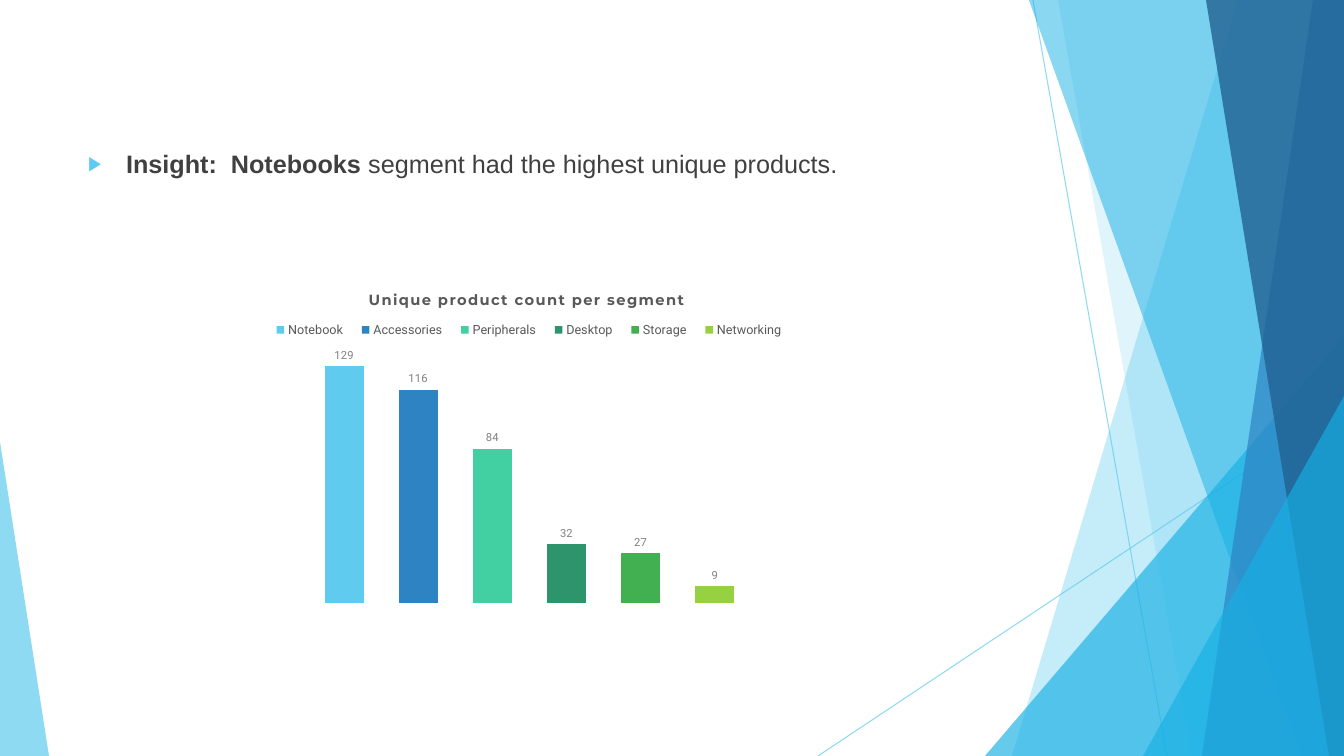
import pptx
import pptx.chart.data
import pptx.dml.color
import pptx.enum.chart
import pptx.enum.shapes
import pptx.oxml
import pptx.oxml.ns
import pptx.util
from lxml import etree

RGBColor = pptx.dml.color.RGBColor
Pt = pptx.util.Pt
qn = pptx.oxml.ns.qn

WIDTH, HEIGHT = 1344, 756
PX_PER_INCH = 100.8

SKY = RGBColor(0x5F, 0xCB, 0xEF)
CYAN = RGBColor(0x17, 0xB0, 0xE4)
BLUE = RGBColor(0x2E, 0x83, 0xC3)
NAVY = RGBColor(0x22, 0x62, 0x92)
BODY_TEXT = RGBColor(0x40, 0x40, 0x40)
CHART_TEXT = RGBColor(0x59, 0x59, 0x59)
LABEL_TEXT = RGBColor(0x80, 0x80, 0x80)

SEGMENTS = [
    ("Notebook", 129, SKY),
    ("Accessories", 116, BLUE),
    ("Peripherals", 84, RGBColor(0x42, 0xD0, 0xA2)),
    ("Desktop", 32, RGBColor(0x2E, 0x94, 0x6B)),
    ("Storage", 27, RGBColor(0x42, 0xB0, 0x51)),
    ("Networking", 9, RGBColor(0x96, 0xD1, 0x41)),
]
CHART_BOX = (225, 268, 609, 342)


def px(length):
    return pptx.util.Emu(round(length * 914400 / PX_PER_INCH))


def set_opacity(shape, percent):
    for color in shape._element.spPr.iter(qn("a:srgbClr")):
        etree.SubElement(color, qn("a:alpha")).set("val", str(percent * 1000))


def paint(shape, color, opacity):
    shape.shadow.inherit = False
    shape.fill.solid()
    shape.fill.fore_color.rgb = color
    shape.line.fill.background()
    set_opacity(shape, opacity)


def add_thin_line(slide, *ends):
    line = slide.shapes.add_connector(
        pptx.enum.shapes.MSO_CONNECTOR.STRAIGHT, *map(px, ends))
    line.line.color.rgb = SKY
    line.line.width = Pt(0.75)
    set_opacity(line, 70)
    etree.SubElement(line._element.spPr, qn("a:effectLst"))


def add_band(slide, top_x, bottom_x, color, opacity):
    """Fill from a slanted left edge to the right side of the slide."""
    builder = slide.shapes.build_freeform(px(top_x), 0)
    corners = [(WIDTH, 0), (WIDTH, HEIGHT), (bottom_x, HEIGHT)]
    builder.add_line_segments([(px(x), px(y)) for x, y in corners], close=True)
    paint(builder.convert_to_shape(), color, opacity)


def add_corner_triangle(slide, left, top, width, apex, color, opacity):
    """Stand a triangle on the bottom edge; apex runs from 0 (left) to 1."""
    triangle = slide.shapes.add_shape(
        pptx.enum.shapes.MSO_SHAPE.ISOSCELES_TRIANGLE,
        px(left), px(top), px(width), px(HEIGHT - top))
    triangle.adjustments[0] = apex
    paint(triangle, color, opacity)


def add_facets(slide):
    add_thin_line(slide, 1033, 0, 1167, HEIGHT)
    add_thin_line(slide, WIDTH, 406, 818, HEIGHT)
    add_band(slide, 1238, 1012, SKY, 36)
    add_band(slide, 1058, 1192, SKY, 20)
    add_corner_triangle(slide, 985, 336, 359, 1, CYAN, 66)
    add_band(slide, 1029, 1301, CYAN, 50)
    add_band(slide, 1313, 1202, BLUE, 70)
    add_band(slide, 1206, 1329, NAVY, 80)
    add_corner_triangle(slide, 1143, 396, 201, 1, CYAN, 66)
    add_corner_triangle(slide, 0, 442, 49, 0, SKY, 70)


def add_bullet(paragraph):
    properties = paragraph._p.get_or_add_pPr()
    properties.set("marL", str(px(38)))
    properties.set("indent", str(px(-38)))
    color = etree.SubElement(properties, qn("a:buClr"))
    etree.SubElement(color, qn("a:srgbClr")).set("val", str(SKY))
    etree.SubElement(properties, qn("a:buSzPct")).set("val", "80000")
    etree.SubElement(properties, qn("a:buFont")).set("typeface", "Arial")
    etree.SubElement(properties, qn("a:buChar")).set("char", "▶")


def fill_insight(body):
    body.left, body.top, body.width, body.height = map(px, (78, 143, 948, 427))
    paragraph = body.text_frame.paragraphs[0]
    add_bullet(paragraph)
    paragraph.space_before = Pt(0)
    style_font(paragraph.font, "Arial", 18, BODY_TEXT)
    for text, bold in (("Insight:  Notebooks", True),
                       (" segment had the highest unique products.", False)):
        run = paragraph.add_run()
        run.text = text
        run.font.bold = bold


def style_font(font, name, size, color, bold=False):
    font.name = name
    font.size = Pt(size)
    font.color.rgb = color
    font.bold = bold


def place_in_chart(element, index, left, top, width=None, height=None):
    """Give a chart part a manual layout, in slide px, as its child at index."""
    for old_layout in element.findall(qn("c:layout")):
        element.remove(old_layout)
    layout = etree.Element(qn("c:layout"))
    element.insert(index, layout)
    manual = etree.SubElement(layout, qn("c:manualLayout"))
    if element.tag == qn("c:plotArea"):
        etree.SubElement(manual, qn("c:layoutTarget")).set("val", "inner")
    for mode in ("xMode", "yMode"):
        etree.SubElement(manual, qn("c:" + mode)).set("val", "edge")
    box_left, box_top, box_width, box_height = CHART_BOX
    fractions = {"x": (left - box_left) / box_width,
                 "y": (top - box_top) / box_height}
    if width:
        fractions.update(w=width / box_width, h=height / box_height)
    for name, fraction in fractions.items():
        etree.SubElement(manual, qn("c:" + name)).set("val", f"{fraction:.4f}")


def add_chart_title(chart):
    chart.has_title = True
    run = chart.chart_title.text_frame.paragraphs[0].add_run()
    run.text = "Unique product count per segment"
    style_font(run.font, "Montserrat", 10.5, CHART_TEXT, bold=True)
    run._r.get_or_add_rPr().set("spc", "100")
    place_in_chart(chart.chart_title._element, 1, 366, 286)


def add_legend(chart):
    chart.has_legend = True
    legend = chart.legend
    legend.position = pptx.enum.chart.XL_LEGEND_POSITION.TOP
    legend.include_in_layout = False
    style_font(legend.font, "Roboto", 9, CHART_TEXT)
    place_in_chart(legend._element, 1, 262, 318, 534, 24)


def style_series(series, color):
    series.format.fill.solid()
    series.format.fill.fore_color.rgb = color
    labels = series.data_labels
    labels.show_value = True
    labels.position = pptx.enum.chart.XL_LABEL_POSITION.OUTSIDE_END
    style_font(labels.font, "Roboto", 8, LABEL_TEXT)


def add_segment_chart(slide):
    data = pptx.chart.data.CategoryChartData()
    data.categories = ["1"]
    for name, count, _ in SEGMENTS:
        data.add_series(name, [count])
    chart = slide.shapes.add_chart(
        pptx.enum.chart.XL_CHART_TYPE.COLUMN_CLUSTERED,
        *map(px, CHART_BOX), data).chart
    style_font(chart.font, "Roboto", 10, CHART_TEXT)
    add_chart_title(chart)
    add_legend(chart)
    chart.value_axis.minimum_scale = 0
    chart.value_axis.maximum_scale = 140
    chart.value_axis.has_major_gridlines = False
    for axis in (chart.category_axis, chart.value_axis):
        axis.visible = False
    plot = chart.plots[0]
    plot.vary_by_categories = False
    plot.gap_width = 444
    plot.overlap = -90
    for series, (_, _, color) in zip(plot.series, SEGMENTS):
        style_series(series, color)
    place_in_chart(chart._chartSpace.chart.plotArea, 0, 238, 346, 583, 257)


def main():
    presentation = pptx.Presentation()
    presentation.slide_width = px(WIDTH)
    presentation.slide_height = px(HEIGHT)
    slide = presentation.slides.add_slide(presentation.slide_layouts[1])
    title = slide.shapes.title._element
    title.getparent().remove(title)
    add_facets(slide)
    fill_insight(slide.placeholders[1])
    add_segment_chart(slide)
    presentation.save("out.pptx")


if __name__ == "__main__":
    main()
